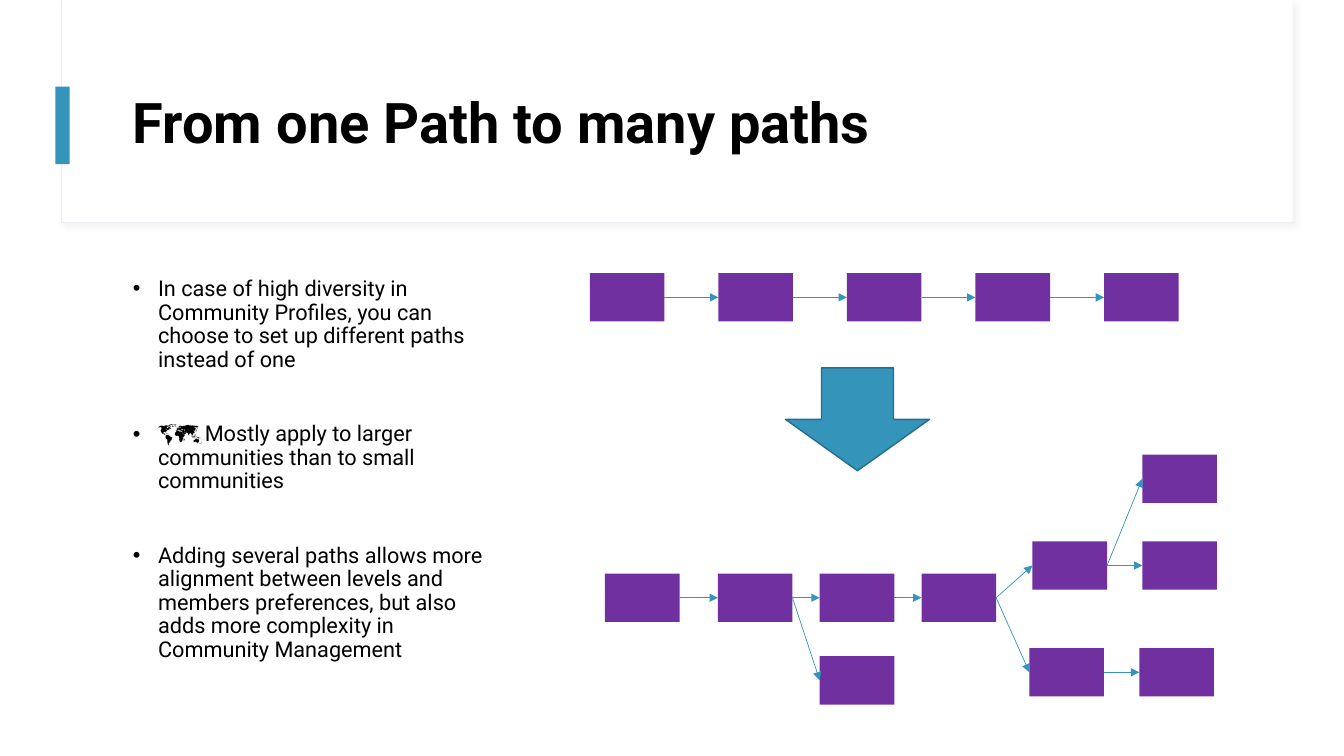
import pptx
import pptx.util
import pptx.dml.color
import pptx.enum.shapes
import pptx.enum.text
import pptx.oxml
import pptx.oxml.ns
from lxml import etree

Inches = pptx.util.Inches
Pt = pptx.util.Pt
RGBColor = pptx.dml.color.RGBColor
Shape = pptx.enum.shapes.MSO_SHAPE
qn = pptx.oxml.ns.qn

WHITE = RGBColor(0xFF, 0xFF, 0xFF)
BLACK = RGBColor(0x00, 0x00, 0x00)
BLUE = RGBColor(0x34, 0x94, 0xBA)
DARK_BLUE = RGBColor(0x26, 0x6D, 0x8A)
PURPLE = RGBColor(0x70, 0x30, 0xA0)
PALE_GREY = RGBColor(0xEB, 0xEE, 0xF2)

FONT = "Roboto"
STEP_WIDTH, STEP_HEIGHT = 0.74, 0.48
SINGLE_PATH = [(5.85 + 1.275 * index, 2.71) for index in range(5)]
MANY_PATHS = {
    "start": (6, 5.69),
    "first fork": (7.12, 5.69),
    "middle": (8.13, 5.69),
    "second fork": (9.14, 5.69),
    "upper fork": (10.24, 5.37),
    "upper end": (11.33, 5.37),
    "lower": (10.21, 6.43),
    "lower end": (11.3, 6.43),
    "top end": (11.33, 4.51),
    "side end": (8.13, 6.51),
}
MANY_LINKS = [
    ("start", "first fork"),
    ("first fork", "middle"),
    ("first fork", "side end"),
    ("middle", "second fork"),
    ("second fork", "upper fork"),
    ("second fork", "lower"),
    ("lower", "lower end"),
    ("upper fork", "upper end"),
    ("upper fork", "top end"),
]
POINTS = [
    "In case of high diversity in Community Profiles, you can choose to set up "
    "different paths instead of one",
    "🗺️Mostly apply to larger communities than to small communities",
    "Adding several paths allows more alignment between levels and members "
    "preferences, but also adds more complexity in Community Management",
]
SHADOW = (
    '<a:effectLst xmlns:a="http://schemas.openxmlformats.org/drawingml/2006/main">'
    '<a:outerShdw blurRad="50800" dist="38100" dir="2700000" algn="tl" rotWithShape="0">'
    '<a:srgbClr val="D9D9D9"><a:alpha val="30000"/></a:srgbClr>'
    "</a:outerShdw></a:effectLst>"
)


def add_block(page, kind, left, top, width, height, fill, line=None, weight=1):
    block = page.shapes.add_shape(
        kind, Inches(left), Inches(top), Inches(width), Inches(height)
    )
    block.shadow.inherit = False
    block.fill.solid()
    block.fill.fore_color.rgb = fill
    if line is None:
        block.line.fill.background()
    else:
        block.line.color.rgb = line
        block.line.width = Pt(weight)
    return block


def add_step(page, position):
    return add_block(page, Shape.RECTANGLE, *position, STEP_WIDTH, STEP_HEIGHT, PURPLE)


def add_link(page, source, target):
    link = page.shapes.add_connector(
        pptx.enum.shapes.MSO_CONNECTOR.STRAIGHT, 0, 0, 0, 0
    )
    link.begin_connect(source, 3)
    link.end_connect(target, 1)
    link.line.color.rgb = BLUE
    link.line.width = Pt(0.5)
    etree.SubElement(link.line._get_or_add_ln(), qn("a:tailEnd"), type="triangle")
    etree.SubElement(link._element.spPr, qn("a:effectLst"))


def add_text(page, left, top, width, height, lines, size, bold=False, bullet=False):
    box = page.shapes.add_textbox(
        Inches(left), Inches(top), Inches(width), Inches(height)
    )
    frame = box.text_frame
    frame.word_wrap = True
    for index, line in enumerate(lines):
        para = frame.paragraphs[0] if index == 0 else frame.add_paragraph()
        para.text = line
        para.line_spacing = 0.9
        if index > 0:
            para.space_before = Pt(36.75)
        if bullet:
            properties = para._p.get_or_add_pPr()
            properties.set("marL", str(Inches(0.25)))
            properties.set("indent", str(Inches(-0.25)))
            etree.SubElement(properties, qn("a:buFont"), typeface="Arial")
            etree.SubElement(properties, qn("a:buChar"), char="•")
        para.font.name = FONT
        para.font.size = Pt(size)
        para.font.bold = bold
        para.font.color.rgb = BLACK
    return frame


def add_header(page):
    border = add_block(
        page, Shape.RECTANGLE, 0.61, 0, 12.21, 2.21, WHITE, PALE_GREY, 0.75
    )
    properties = border._element.spPr
    properties.replace(
        properties.find(qn("a:effectLst")), pptx.oxml.parse_xml(SHADOW)
    )
    add_block(page, Shape.RECTANGLE, 0.62, 0, 12.2, 2.2, WHITE)
    add_block(page, Shape.RECTANGLE, 0.55, 0.86, 0.14, 0.77, BLUE)
    title = add_text(
        page, 1.22, 0.6, 11.12, 1.29, ["From one Path to many paths"], 40, bold=True
    )
    title.vertical_anchor = pptx.enum.text.MSO_ANCHOR.MIDDLE


def add_single_path(page):
    steps = [add_step(page, position) for position in SINGLE_PATH]
    for source, target in zip(steps, steps[1:]):
        add_link(page, source, target)


def add_many_paths(page):
    steps = {name: add_step(page, position) for name, position in MANY_PATHS.items()}
    for source, target in MANY_LINKS:
        add_link(page, steps[source], steps[target])


def main():
    deck = pptx.Presentation()
    deck.slide_width = Inches(13.33)
    deck.slide_height = Inches(7.5)
    page = deck.slides.add_slide(deck.slide_layouts[6])
    add_header(page)
    add_text(page, 1.22, 2.71, 3.87, 4.04, POINTS, 15.5, bullet=True)
    add_single_path(page)
    add_many_paths(page)
    add_block(page, Shape.DOWN_ARROW, 7.79, 3.65, 1.43, 1.02, BLUE, DARK_BLUE)
    deck.save("out.pptx")


if __name__ == "__main__":
    main()
